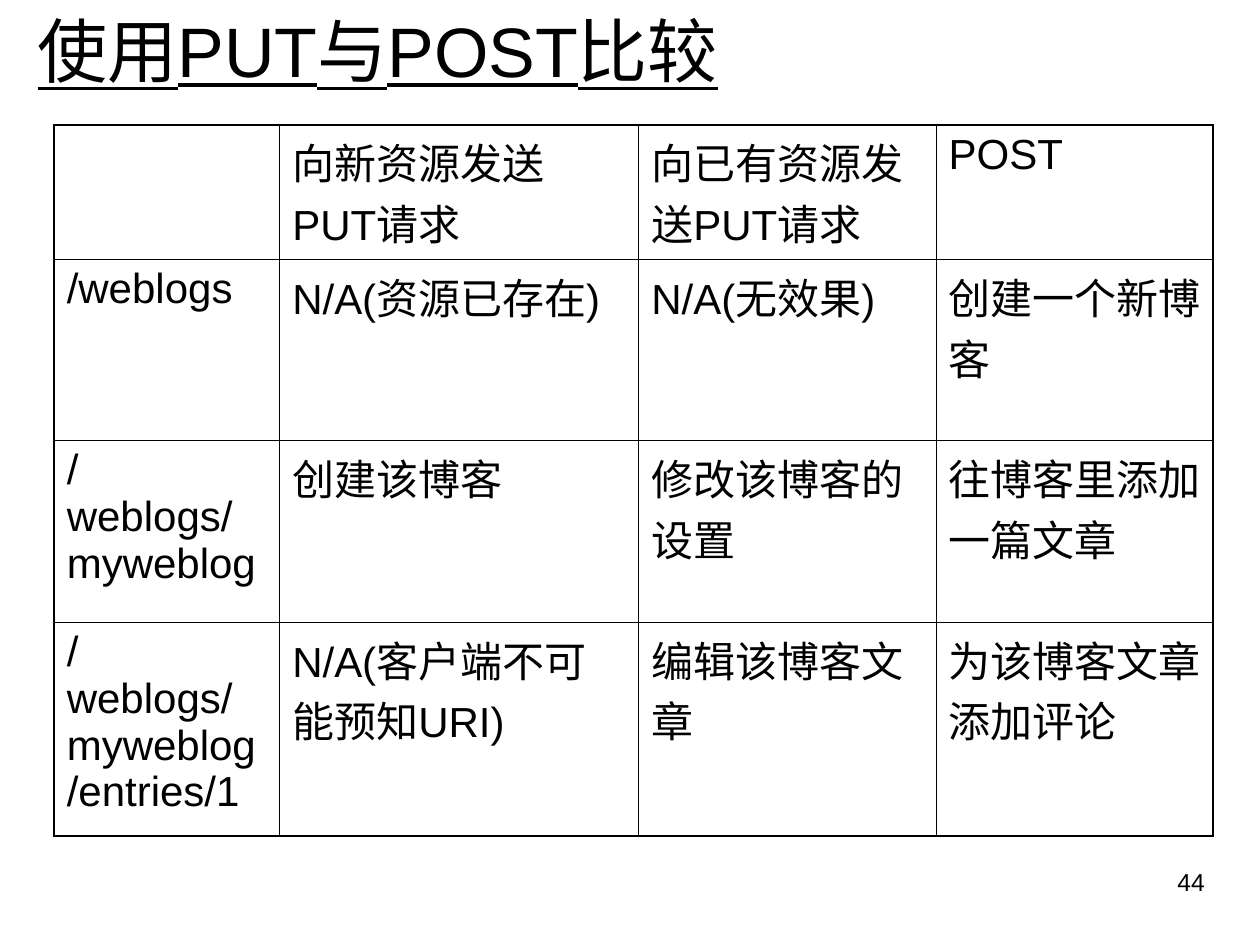
from dataclasses import dataclass

from lxml.etree import SubElement as Sub
from pptx import Presentation
from pptx.dml.color import RGBColor as Color
from pptx.enum.text import MSO_ANCHOR as Anchor, PP_ALIGN as Align
from pptx.oxml.ns import qn
from pptx.util import Inches, Pt


@dataclass(frozen=True)
class Theme:
    font: str = "Arial"
    ink: str = "000000"
    title: int = 40
    cell: int = 24
    num: int = 14
    thin: float = 0.45
    thick: float = 1.08


THEME = Theme()
COLS = [1.79, 2.85, 2.36, 2.2]
ROWS = [1, 1.44, 1.44, 1.7]
CELLS = [
    ["", "向新资源发送PUT请求", "向已有资源发送PUT请求", "POST"],
    ["/weblogs", "N/A(资源已存在)", "N/A(无效果)", "创建一个新博客"],
    ["/weblogs/myweblog", "创建该博客", "修改该博客的设置", "往博客里添加一篇文章"],
    ["/weblogs/myweblog/entries/1", "N/A(客户端不可能预知URI)",
     "编辑该博客文章", "为该博客文章添加评论"],
]


def apply(item, form):
    for key, val in form.items():
        setattr(item, key, val)


def write(frame, text, size, para=None, **font):
    line = frame.paragraphs[0]
    apply(line, para or {})
    run = line.add_run()
    run.text = text
    apply(run.font, {"name": THEME.font, "size": Pt(size), **font})
    run.font.color.rgb = Color.from_string(THEME.ink)


def place(shape, box):
    names = ("left", "top", "width", "height")
    apply(shape, dict(zip(names, map(Inches, box))))


def edge(cell, widths):
    props = cell._tc.get_or_add_tcPr()
    for side, width in widths.items():
        line = Sub(props, qn(f"a:ln{side}"), w=str(Pt(width)))
        fill = Sub(line, qn("a:solidFill"))
        Sub(fill, qn("a:srgbClr"), val=THEME.ink)


def add_title(slide, box):
    title = slide.shapes.title
    place(title, box)
    frame = title.text_frame
    apply(frame, {"word_wrap": True, "vertical_anchor": Anchor.MIDDLE})
    write(frame, "使用PUT与POST比较", THEME.title,
          {"alignment": Align.LEFT}, underline=True)


def add_grid(slide, box):
    table = slide.shapes.add_table(len(ROWS), len(COLS),
                                   *map(Inches, box)).table
    apply(table, {"first_row": False, "horz_banding": False})
    for col, width in zip(table.columns, COLS):
        col.width = Inches(width)
    for row, height in zip(table.rows, ROWS):
        row.height = Inches(height)
    last, end = len(ROWS) - 1, len(COLS) - 1
    for r, row in enumerate(CELLS):
        for c, text in enumerate(row):
            cell = table.cell(r, c)
            outer = {"L": c == 0, "R": c == end, "T": r == 0, "B": r == last}
            edge(cell, {side: THEME.thick if out else THEME.thin
                        for side, out in outer.items()})
            cell.fill.background()
            if text:
                write(cell.text_frame, text, THEME.cell,
                      {"space_before": Pt(6)})


def add_num(slide, box):
    frame = slide.shapes.add_textbox(*map(Inches, box)).text_frame
    frame.word_wrap = True
    write(frame, "44", THEME.num, {"alignment": Align.RIGHT})


def main():
    deck = Presentation()
    apply(deck, {"slide_width": Inches(10), "slide_height": Inches(7.5)})
    slide = deck.slides.add_slide(deck.slide_layouts[5])
    add_title(slide, (0.2, 0, 7.4, 0.79))
    add_grid(slide, (0.43, 0.99, sum(COLS), sum(ROWS)))
    add_num(slide, (7.16, 6.83, 2.5, 0.52))
    deck.save("out.pptx")


if __name__ == "__main__":
    main()
